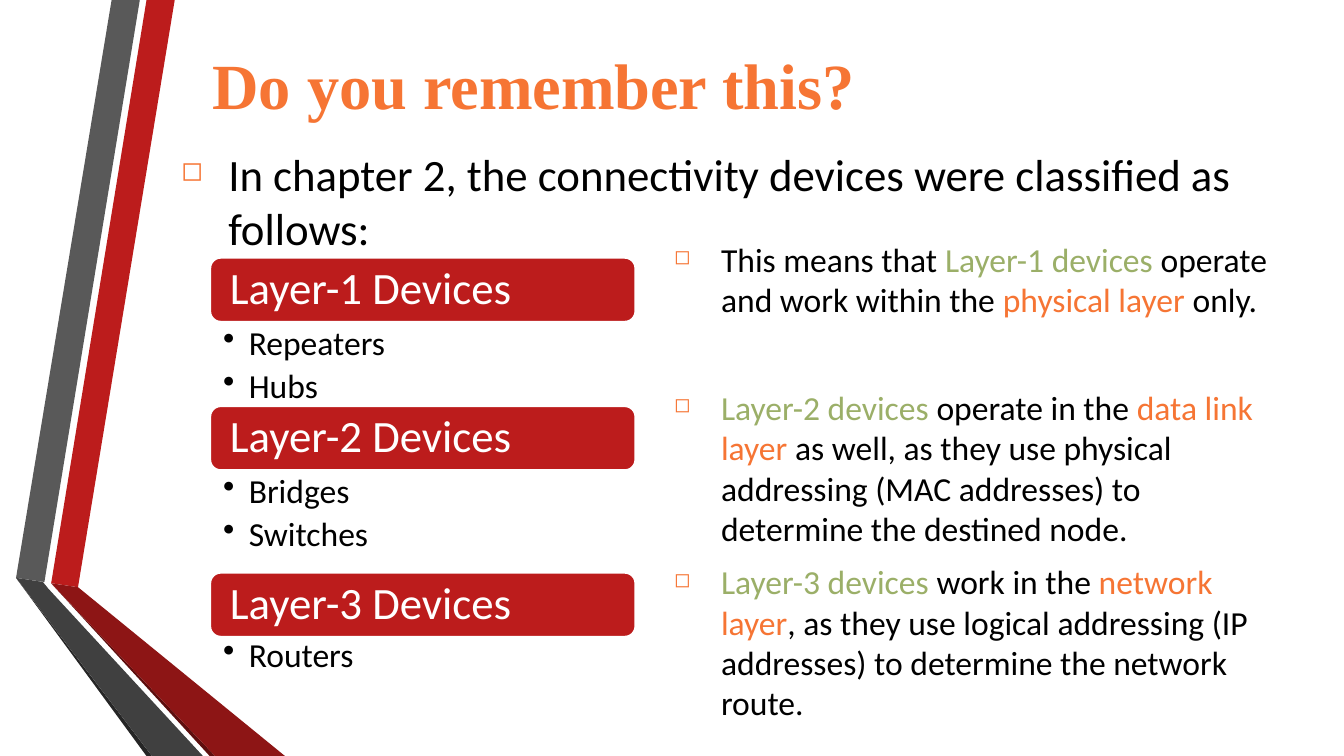
from lxml import etree
from pptx import Presentation
from pptx import util as u
from pptx.dml.color import RGBColor
from pptx.enum import shapes, text
from pptx.oxml import ns

COLORS = {
    "orange": "F67534", "green": "9BAF68", "black": "000000", "white": "FFFFFF",
    "red": "BC1C1C", "dark red": "8D1515", "deep red": "5E0E0E",
    "gray": "595959", "dark gray": "404040", "deep gray": "262626",
}
TITLE = "Do you remember this?"
INTRO = "In chapter 2, the connectivity devices were classified as follows:"

# Each layer: heading, heading top, list top, list height, devices
LAYERS = [
    ("Layer-1 Devices", 138, 172.5, 54.75, ["Repeaters", "Hubs"]),
    ("Layer-2 Devices", 217.5, 252, 54.75, ["Bridges", "Switches"]),
    ("Layer-3 Devices", 306.75, 339.75, 24, ["Routers"]),
]

# Each note: space before, then runs of text and colour
NOTES = [
    (7, [("This means that ", "black"), ("Layer-1 devices ", "green"),
         ("operate and work within the ", "black"),
         ("physical layer ", "orange"), ("only.", "black")]),
    (36, [("Layer-2 devices ", "green"), ("operate in the ", "black"),
          ("data link layer ", "orange"),
          ("as well, as they use physical addressing (MAC addresses) "
           "to determine the destined node.", "black")]),
    (7, [("Layer-3 devices ", "green"), ("work in the ", "black"),
         ("network layer", "orange"),
         (", as they use logical addressing (IP addresses) "
          "to determine the network route.", "black")]),
]

# Folded ribbons at the left edge: colour and corner points
RIBBONS = [
    ("red", [(27.4, 312.5), (41.8, 314.6), (93.6, 0), (78.5, 0)]),
    ("gray", [(74.9, 0), (59.8, 0), (8.6, 309.6), (23.8, 311.8)]),
    ("deep gray", [(8.6, 309.6), (78.5, 405), (81.4, 405)]),
    ("deep red", [(27.4, 312.5), (112.3, 405), (115.2, 405)]),
    ("dark red", [(27.4, 312.5), (115.2, 405), (152.6, 405), (41.8, 314.6)]),
    ("dark gray", [(108.7, 405), (25.9, 315.4), (23, 311.8), (8.6, 309.6),
                   (81.4, 405)]),
]

SQUARE = {"char": "◻", "indent": 25.2, "color": "orange", "percent": 60}
DOT = {"char": "•", "indent": 13.7}
HEADING_LEFT, HEADING_WIDTH, HEADING_HEIGHT = 112.5, 228, 34.5


def rgb(name):
    return RGBColor.from_string(COLORS[name])


def place(shape, left, top, width, height):
    shape.left, shape.top = u.Pt(left), u.Pt(top)
    shape.width, shape.height = u.Pt(width), u.Pt(height)


def add_bullet(para, char, indent, color=None, percent=None):
    props = para._p.get_or_add_pPr()
    props.set("marL", str(u.Pt(indent)))
    props.set("indent", str(-u.Pt(indent)))
    if color:
        holder = etree.SubElement(props, ns.qn("a:buClr"))
        etree.SubElement(holder, ns.qn("a:srgbClr"), val=COLORS[color])
    if percent:
        etree.SubElement(props, ns.qn("a:buSzPct"), val=str(percent * 1000))
    etree.SubElement(props, ns.qn("a:buChar"), char=char)


def write(shape, paragraphs, size, font="Calibri", bold=False, color="black",
          bullet=None, margins=(7.2, 3.6, 7.2, 3.6), anchor="TOP",
          line=None, before=0, after=0):
    """Fill a shape; a paragraph is a string or (space before, coloured runs)."""
    frame = shape.text_frame
    frame.word_wrap = True
    frame.auto_size = text.MSO_AUTO_SIZE.NONE
    frame.vertical_anchor = text.MSO_ANCHOR[anchor]
    (frame.margin_left, frame.margin_top,
     frame.margin_right, frame.margin_bottom) = map(u.Pt, margins)
    for index, content in enumerate(paragraphs):
        if isinstance(content, str):
            content = (before, [(content, color)])
        space, runs = content
        para = frame.add_paragraph() if index else frame.paragraphs[0]
        para.alignment = text.PP_ALIGN.LEFT
        para.space_before, para.space_after = u.Pt(space), u.Pt(after)
        if line:
            para.line_spacing = line
        if bullet:
            add_bullet(para, **bullet)
        for words, run_color in runs:
            span = para.add_run()
            span.text = words
            span.font.name, span.font.size = font, u.Pt(size)
            span.font.bold = bold
            span.font.color.rgb = rgb(run_color)


def add_text(page, box, paragraphs, **style):
    write(page.shapes.add_textbox(*map(u.Pt, box)), paragraphs, **style)


def add_ribbon(page, color, corners):
    points = [(u.Pt(x), u.Pt(y)) for x, y in corners]
    builder = page.shapes.build_freeform(*points[0])
    builder.add_line_segments(points[1:], close=True)
    ribbon = builder.convert_to_shape()
    ribbon.shadow.inherit = False
    ribbon.fill.solid()
    ribbon.fill.fore_color.rgb = rgb(color)
    ribbon.line.fill.background()


def add_layer(page, heading, top, list_top, list_height, devices):
    bar = page.shapes.add_shape(
        shapes.MSO_SHAPE.ROUNDED_RECTANGLE,
        *map(u.Pt, (HEADING_LEFT, top, HEADING_WIDTH, HEADING_HEIGHT)))
    bar.shadow.inherit = False
    bar.fill.solid()
    bar.fill.fore_color.rgb = rgb("red")
    bar.line.color.rgb = rgb("white")
    bar.line.width = u.Pt(1.25)
    write(bar, [heading], size=24, color="white", anchor="MIDDLE", line=0.9,
          margins=(9, 7.2, 9, 7.2), after=8.4)
    add_text(page, (HEADING_LEFT, list_top, HEADING_WIDTH, list_height), devices,
             size=18, bullet=DOT, line=0.9, after=3.6,
             margins=(7.2, 2.2, 10, 2.2))


def main():
    deck = Presentation()
    deck.slide_width, deck.slide_height = u.Pt(720), u.Pt(405)
    page = deck.slides.add_slide(deck.slide_layouts.get_by_name("Title Only"))
    for color, corners in RIBBONS:
        add_ribbon(page, color, corners)
    title = page.shapes.title
    place(title, 113.75, 22.5, 522, 44.5)
    write(title, [TITLE], size=34.5, font="Times New Roman", bold=True,
          color="orange", anchor="MIDDLE", margins=(0, 0, 0, 0))
    add_text(page, (90, 75, 630, 36), [INTRO], size=24, bullet=SQUARE, before=7)
    for layer in LAYERS:
        add_layer(page, *layer)
    add_text(page, (354, 124.5, 342, 240), NOTES, size=18, bullet=SQUARE)
    deck.save("out.pptx")


if __name__ == "__main__":
    main()
